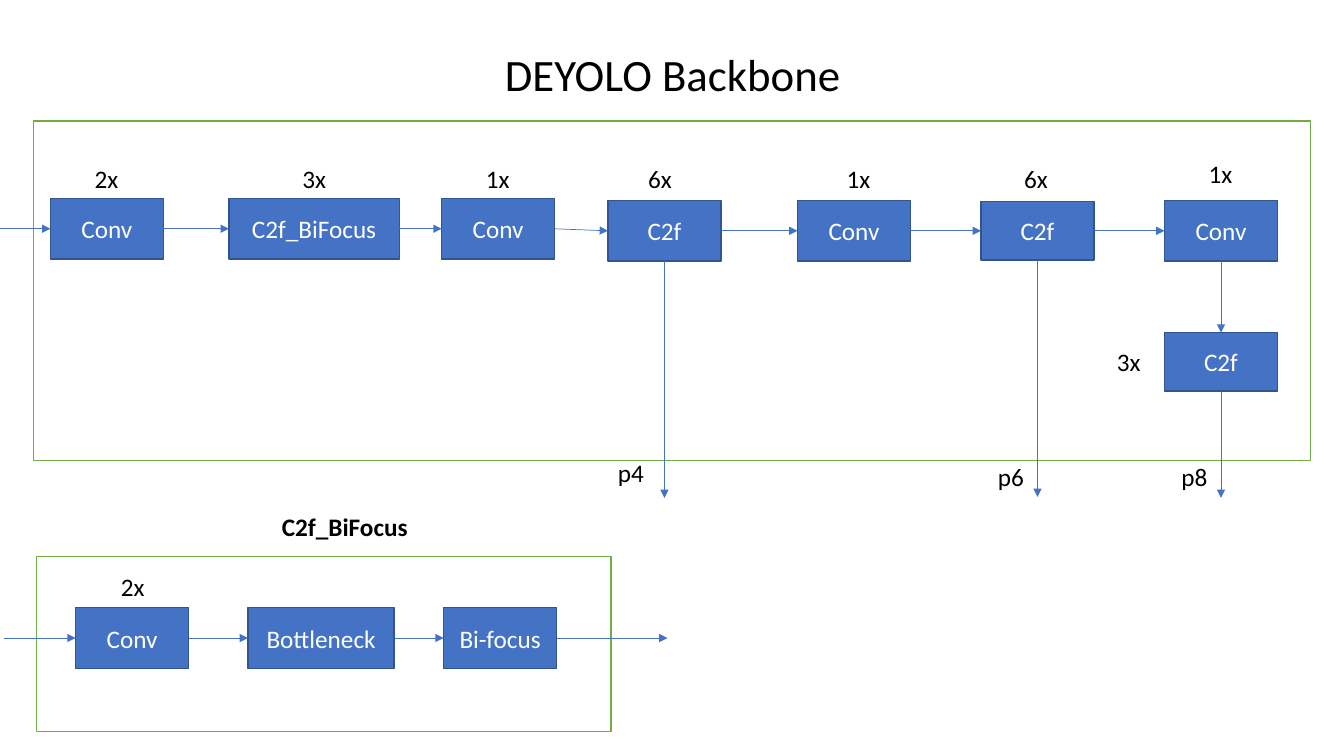
from dataclasses import dataclass
from itertools import pairwise

from lxml.etree import SubElement
from pptx import Presentation
from pptx.dml.color import RGBColor
from pptx.enum.shapes import MSO_CONNECTOR, MSO_SHAPE
from pptx.enum.text import MSO_ANCHOR, MSO_AUTO_SIZE, PP_ALIGN
from pptx.oxml.ns import qn
from pptx.shapes.autoshape import Shape
from pptx.slide import Slide
from pptx.text.text import TextFrame
from pptx.util import Inches, Pt


@dataclass(frozen=True)
class Theme:
    font: str = "Calibri"
    body: int = 18
    title: int = 32
    outline: float = 1
    arrow: float = 0.5
    white: RGBColor = RGBColor(0xFF, 0xFF, 0xFF)
    black: RGBColor = RGBColor(0, 0, 0)
    blue: RGBColor = RGBColor(0x44, 0x72, 0xC4)
    navy: RGBColor = RGBColor(0x32, 0x54, 0x91)
    green: RGBColor = RGBColor(0x70, 0xAD, 0x47)


@dataclass(frozen=True)
class Box:
    left: float
    top: float
    width: float = 1.12
    height: float = 0.6
    text: str = ""


@dataclass(frozen=True)
class Label:
    text: str
    left: float
    top: float
    width: float = 0.44
    height: float = 0.4
    size: int = 18
    bold: bool = False
    centred: bool = False


@dataclass(frozen=True)
class Output:
    source: int
    end: float


THEME = Theme()
TOP, LEFT, BOTTOM, RIGHT = range(4)  # connection sites of a rectangle

PANELS = [Box(0.33, 1.2, 12.67, 3.37), Box(0.36, 5.52, 5.7, 1.74)]

# Main row from left to right, then the last block below it
BACKBONE = [
    Box(0.5, 1.97, text="Conv"),
    Box(2.27, 1.97, 1.69, text="C2f_BiFocus"),
    Box(4.38, 1.97, text="Conv"),
    Box(6.03, 1.99, text="C2f"),
    Box(7.91, 1.99, text="Conv"),
    Box(9.73, 2, height=0.58, text="C2f"),
    Box(11.55, 1.99, text="Conv"),
]
LAST_BLOCK = Box(11.55, 3.3, height=0.58, text="C2f")
BIFOCUS = [
    Box(0.75, 6.03, text="Conv"),
    Box(2.46, 6.03, 1.45, text="Bottleneck"),
    Box(4.4, 6.03, text="Bi-focus"),
]
OUTPUTS = [Output(3, 4.94), Output(5, 4.93), Output(7, 4.94)]

LABELS = [
    Label("DEYOLO Backbone", 4.91, 0.41, 3.56, 0.64, THEME.title),
    Label("2x", 0.84, 1.57),
    Label("3x", 2.9, 1.57),
    Label("1x", 4.72, 1.57),
    Label("6x", 6.33, 1.57),
    Label("1x", 8.3, 1.57),
    Label("6x", 10.06, 1.57),
    Label("1x", 11.89, 1.52),
    Label("3x", 10.98, 3.39),
    Label("p4", 6.03, 4.49, 0.46),
    Label("p6", 9.8, 4.53, 0.46),
    Label("p8", 11.62, 4.53, 0.46),
    Label("C2f_BiFocus", 0.09, 5.02, 6.66, bold=True, centred=True),
    Label("2x", 1.1, 5.62, 0.55),
]


def write(tf: TextFrame, text: str, size: int, color: RGBColor,
          bold: bool = False, centred: bool = False) -> None:
    tf.text = text
    p = tf.paragraphs[0]
    p.alignment = PP_ALIGN.CENTER if centred else PP_ALIGN.LEFT
    font = p.runs[0].font
    font.name, font.size, font.bold = THEME.font, Pt(size), bold
    font.color.rgb = color


def add_box(s: Slide, box: Box, fill: RGBColor, line: RGBColor) -> Shape:
    sp = s.shapes.add_shape(MSO_SHAPE.RECTANGLE, Inches(box.left), Inches(box.top),
                            Inches(box.width), Inches(box.height))
    sp.shadow.inherit = False
    sp.fill.solid()
    sp.fill.fore_color.rgb = fill
    sp.line.color.rgb = line
    sp.line.width = Pt(THEME.outline)
    if box.text:
        sp.text_frame.vertical_anchor = MSO_ANCHOR.MIDDLE
        write(sp.text_frame, box.text, THEME.body, THEME.white, centred=True)
    return sp


def add_block(s: Slide, box: Box) -> Shape:
    return add_box(s, box, THEME.blue, THEME.navy)


def add_label(s: Slide, label: Label) -> None:
    sp = s.shapes.add_textbox(Inches(label.left), Inches(label.top),
                              Inches(label.width), Inches(label.height))
    tf = sp.text_frame
    tf.word_wrap = label.centred
    tf.auto_size = MSO_AUTO_SIZE.SHAPE_TO_FIT_TEXT
    write(tf, label.text, label.size, THEME.black, label.bold, label.centred)


def add_arrow(s: Slide, start: tuple[int, int], end: tuple[int, int],
              source: tuple[Shape, int] | None = None,
              target: tuple[Shape, int] | None = None) -> None:
    cn = s.shapes.add_connector(MSO_CONNECTOR.STRAIGHT, *start, *end)
    if source:
        cn.begin_connect(*source)
    if target:
        cn.end_connect(*target)
    cn.line.color.rgb = THEME.blue
    cn.line.width = Pt(THEME.arrow)
    SubElement(cn.line._get_or_add_ln(), qn("a:tailEnd"), type="triangle")
    SubElement(cn._element.spPr, qn("a:effectLst"))


def site_point(sp: Shape, site: int) -> tuple[int, int]:
    x = {LEFT: sp.left, RIGHT: sp.left + sp.width}.get(site, sp.left + sp.width // 2)
    y = {TOP: sp.top, BOTTOM: sp.top + sp.height}.get(site, sp.top + sp.height // 2)
    return x, y


def join(s: Slide, source: Shape, out: int, target: Shape, into: int) -> None:
    add_arrow(s, site_point(source, out), site_point(target, into),
              (source, out), (target, into))


def add_row(s: Slide, boxes: list[Box], entry: float) -> list[Shape]:
    """Draw a chain of blocks with an arrow coming in at its left."""
    blocks = [add_block(s, box) for box in boxes]
    x, y = site_point(blocks[0], LEFT)
    add_arrow(s, (Inches(entry), y), (x, y), target=(blocks[0], LEFT))
    for a, b in pairwise(blocks):
        join(s, a, RIGHT, b, LEFT)
    return blocks


def main() -> None:
    prs = Presentation()
    prs.slide_width, prs.slide_height = Inches(13.33), Inches(7.5)
    s = prs.slides.add_slide(prs.slide_layouts[6])

    # Green frames
    for panel in PANELS:
        add_box(s, panel, THEME.white, THEME.green)

    # Backbone chain and its outputs
    blocks = add_row(s, BACKBONE, 0)
    blocks.append(add_block(s, LAST_BLOCK))
    join(s, blocks[-2], BOTTOM, blocks[-1], TOP)
    for output in OUTPUTS:
        block = blocks[output.source]
        x, y = site_point(block, BOTTOM)
        add_arrow(s, (x, y), (x, Inches(output.end)), source=(block, BOTTOM))

    # Detail of the C2f_BiFocus block
    last = add_row(s, BIFOCUS, 0.04)[-1]
    x, y = site_point(last, RIGHT)
    add_arrow(s, (x, y), (Inches(6.62), y), source=(last, RIGHT))

    # Title, repeat counts and output names
    for label in LABELS:
        add_label(s, label)

    prs.save("out.pptx")


if __name__ == "__main__":
    main()
